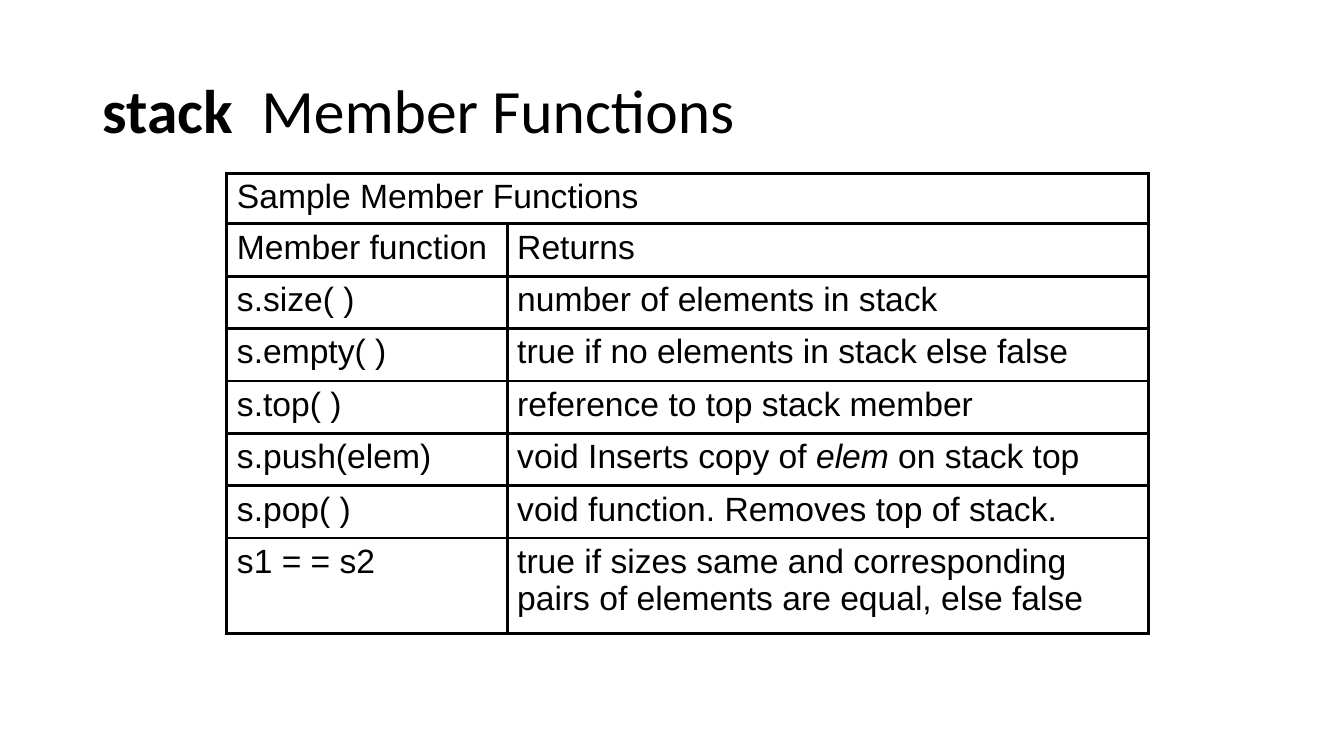
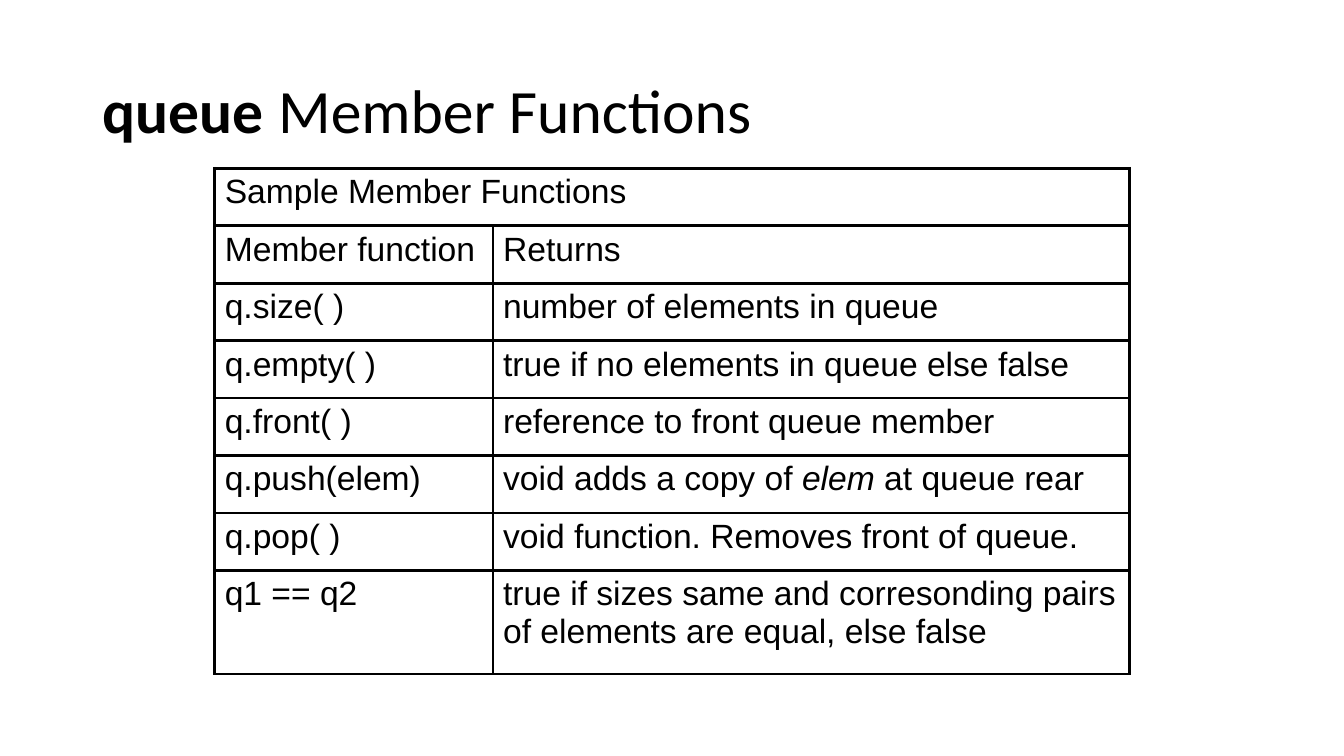
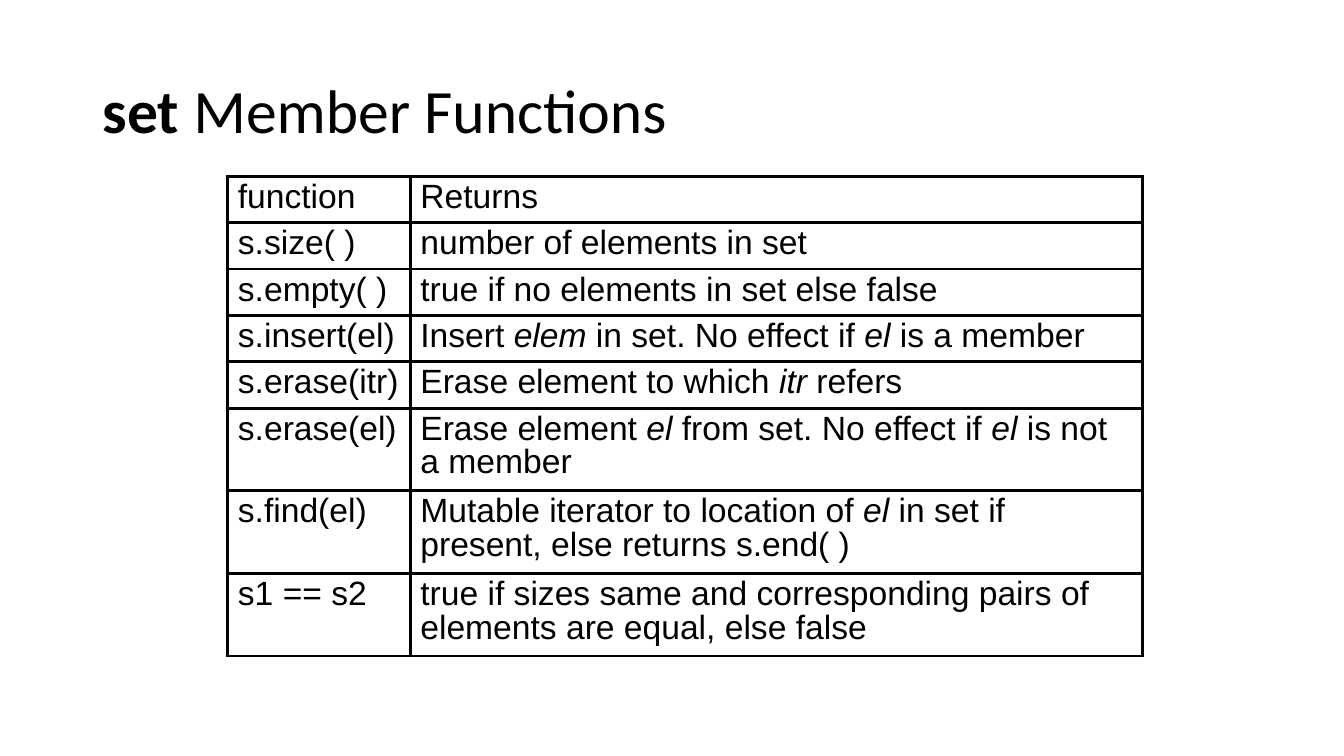
from lxml import etree
from pptx import Presentation
from pptx.dml.color import RGBColor
from pptx.enum.text import MSO_ANCHOR, PP_ALIGN
from pptx.oxml.ns import qn
from pptx.util import Inches, Pt

BLACK = RGBColor(0, 0, 0)
WHITE = RGBColor(255, 255, 255)
TITLE_FONT, TABLE_FONT = "Calibri", "Arial"
TITLE_BOX = (0.92, 0.4, 11.5, 1.45)
BORDER = Pt(2.25)
TITLE_ONLY = 5

# Words between asterisks are italic; a row with one entry spans the table.
SLIDES = [
    {
        "title": ("stack", "  Member Functions"),
        "at": (2.25, 1.72),
        "cols": [2.78, 6.36],
        "heights": [0.5] + [0.52] * 6 + [0.95],
        "spacing": 1.0,
        "rows": [
            ("Sample Member Functions",),
            ("Member function", "Returns"),
            ("s.size( )", "number of elements in stack"),
            ("s.empty( )", "true if no elements in stack else false"),
            ("s.top( )", "reference to top stack member"),
            ("s.push(elem)", "void Inserts copy of *elem* on stack top"),
            ("s.pop( )", "void function. Removes top of stack."),
            ("s1 = = s2", "true if sizes same and corresponding pairs of "
                          "elements are equal, else false"),
        ],
    },
    {
        "title": ("queue", " Member Functions"),
        "at": (2.13, 1.67),
        "cols": [2.76, 6.31],
        "heights": [0.57] * 7 + [1.03],
        "spacing": 1.0,
        "rows": [
            ("Sample Member Functions",),
            ("Member function", "Returns"),
            ("q.size( )", "number of elements in queue"),
            ("q.empty( )", "true if no elements in queue else false"),
            ("q.front( )", "reference to front queue member"),
            ("q.push(elem)", "void adds a copy of *elem* at queue rear"),
            ("q.pop( )", "void function. Removes front of queue."),
            ("q1 == q2", "true if sizes same and corresonding pairs of "
                         "elements are equal, else false"),
        ],
    },
    {
        "title": ("set", " Member Functions"),
        "at": (2.26, 1.75),
        "cols": [1.81, 7.26],
        "heights": [0.46] * 5 + [0.82] * 3,
        "spacing": 0.9,
        "rows": [
            ("function", "Returns"),
            ("s.size( )", "number of elements in set"),
            ("s.empty( )", "true if no elements in set else false"),
            ("s.insert(el)", "Insert *elem* in set. No effect if *el* is a member"),
            ("s.erase(itr)", "Erase element to which *itr* refers"),
            ("s.erase(el)", "Erase element *el* from set. No effect if *el* "
                            "is not a member"),
            ("s.find(el)", "Mutable iterator to location of *el* in set if "
                           "present, else returns s.end( )"),
            ("s1 == s2", "true if sizes same and corresponding pairs of "
                         "elements are equal, else false"),
        ],
    },
]


def add_run(p, words, font, size, bold=False, italic=False):
    r = p.add_run()
    r.text = words
    r.font.name, r.font.size = font, Pt(size)
    r.font.bold, r.font.italic = bold, italic
    r.font.color.rgb = BLACK


def set_title(title, name, rest):
    title.left, title.top, title.width, title.height = map(Inches, TITLE_BOX)
    title.text_frame.vertical_anchor = MSO_ANCHOR.MIDDLE
    p = title.text_frame.paragraphs[0]
    p.alignment = PP_ALIGN.LEFT
    p.line_spacing = 0.9
    add_run(p, name, TITLE_FONT, 44, bold=True)
    add_run(p, rest, TITLE_FONT, 44)


def set_borders(cell):
    tc_pr = cell._tc.get_or_add_tcPr()
    for i, side in enumerate(("lnL", "lnR", "lnT", "lnB")):
        ln = etree.Element(qn("a:" + side), w=str(BORDER))
        fill = etree.SubElement(ln, qn("a:solidFill"))
        etree.SubElement(fill, qn("a:srgbClr"), val=str(BLACK))
        tc_pr.insert(i, ln)


def fill_cell(cell, words, spacing):
    p = cell.text_frame.paragraphs[0]
    p.line_spacing = spacing
    for i, part in enumerate(words.split("*")):
        if part:
            add_run(p, part, TABLE_FONT, 24, italic=i % 2 == 1)


def add_function_table(s, spec_):
    rows, cols, heights = spec_["rows"], spec_["cols"], spec_["heights"]
    left, top = spec_["at"]
    box = [Inches(v) for v in (left, top, sum(cols), sum(heights))]
    table = s.shapes.add_table(len(rows), len(cols), *box).table
    table.first_row = table.horz_banding = False
    for column, width in zip(table.columns, cols):
        column.width = Inches(width)
    for row, height, entries in zip(table.rows, heights, rows):
        row.height = Inches(height)
        for cell in row.cells:
            cell.fill.solid()
            cell.fill.fore_color.rgb = WHITE
            set_borders(cell)
        for cell, words in zip(row.cells, entries):
            fill_cell(cell, words, spec_["spacing"])
        if len(entries) == 1:
            row.cells[0].merge(row.cells[len(cols) - 1])


def main():
    prs = Presentation()
    prs.slide_width, prs.slide_height = Inches(13.33), Inches(7.5)
    for content in SLIDES:
        s = prs.slides.add_slide(prs.slide_layouts[TITLE_ONLY])
        set_title(s.shapes.title, *content["title"])
        add_function_table(s, content)
    prs.save("out.pptx")


if __name__ == "__main__":
    main()
